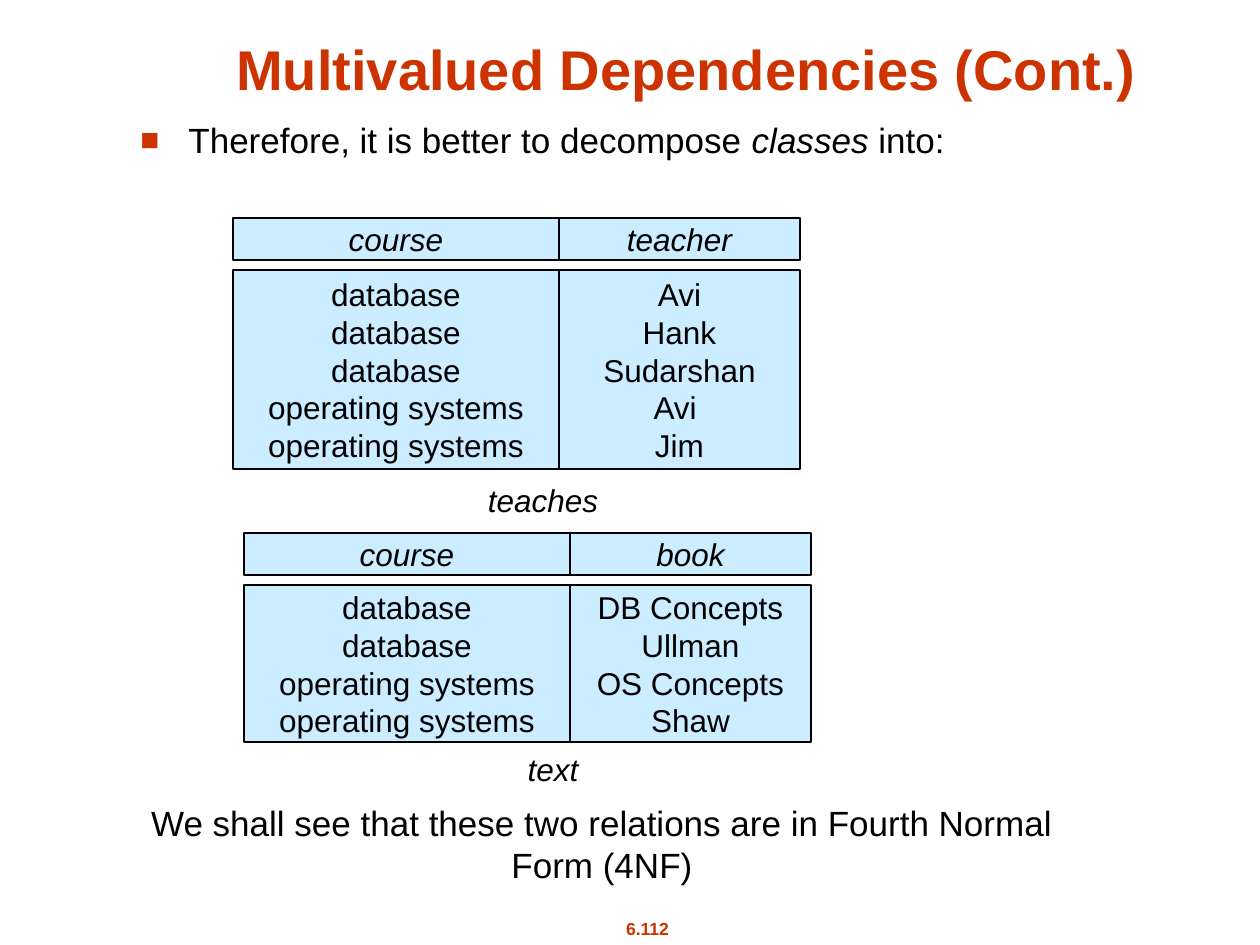
from dataclasses import dataclass

from lxml import etree
from pptx import Presentation
from pptx import util as u
from pptx.dml.color import RGBColor
from pptx.enum import shapes, text
from pptx.oxml import ns

PX = 914400 / 126


@dataclass(frozen=True)
class Theme:
    font: str = "Arial"
    accent: RGBColor = RGBColor(0xCC, 0x33, 0x00)
    ink: RGBColor = RGBColor(0, 0, 0)
    cell: RGBColor = RGBColor(0xCC, 0xEC, 0xFF)
    title: int = 32
    body: int = 20
    label: int = 18
    footer: int = 10


THEME = Theme()


def px(*lengths):
    return [u.Emu(round(length * PX)) for length in lengths]


def write(box, content, size=THEME.label, color=THEME.ink, bold=False, italic=False,
          align=text.PP_ALIGN.CENTER, anchor=text.MSO_ANCHOR.MIDDLE, wrap=False):
    """Write one paragraph per line; asterisks switch italics on and off."""
    frame = box.text_frame
    frame.word_wrap = wrap
    frame.vertical_anchor = anchor
    for index, line in enumerate(content.split("\n")):
        para = frame.paragraphs[0] if index == 0 else frame.add_paragraph()
        para.alignment = align
        for part, words in enumerate(line.split("*")):
            span = para.add_run()
            span.text = words
            span.font.name = THEME.font
            span.font.size = u.Pt(size)
            span.font.color.rgb = color
            span.font.bold = bold
            span.font.italic = italic or part % 2 == 1


deck = Presentation()
deck.slide_width, deck.slide_height = px(1260, 945)
page = deck.slides.add_slide(deck.slide_layouts[6])

# Page number, title and closing sentence
footer = page.shapes.add_textbox(*px(586, 912, 123, 34))
write(footer, "6.112", size=THEME.footer, color=THEME.accent, bold=True,
      anchor=text.MSO_ANCHOR.TOP)
title = page.shapes.add_textbox(*px(196, 21, 981, 87))
write(title, "Multivalued Dependencies (Cont.)", size=THEME.title, color=THEME.accent,
      bold=True, anchor=text.MSO_ANCHOR.BOTTOM, wrap=True)
closing = page.shapes.add_textbox(*px(136, 795, 932, 73))
write(closing, "We shall see that these two relations are in Fourth Normal Form (4NF)",
      size=THEME.body, anchor=text.MSO_ANCHOR.TOP, wrap=True)

# Bulleted statement
statement = page.shapes.add_textbox(*px(128, 112, 926, 73))
write(statement, "Therefore, it is better to decompose *classes *into:", size=THEME.body,
      align=text.PP_ALIGN.LEFT, anchor=text.MSO_ANCHOR.TOP, wrap=True)
indent = px(48)[0]
bullet = statement.text_frame.paragraphs[0]._p.get_or_add_pPr()
bullet.set("marL", str(indent))
bullet.set("indent", str(-indent))
bullet_color = etree.SubElement(bullet, ns.qn("a:buClr"))
etree.SubElement(bullet_color, ns.qn("a:srgbClr"), val=str(THEME.accent))
etree.SubElement(bullet, ns.qn("a:buSzPct"), val="90000")
etree.SubElement(bullet, ns.qn("a:buFont"), typeface=THEME.font)
etree.SubElement(bullet, ns.qn("a:buChar"), char="■")

# Relations: a header row above a gap, then one tall cell for each column
COLUMN_WIDTHS = (326, 241)
HEADER_HEIGHT, HEADER_PITCH = 42, 52
relations = [
    (233, 218, 199, [
        ("course", "database\ndatabase\ndatabase\noperating systems\noperating systems"),
        ("teacher", "Avi\nHank\nSudarshan\nAvi \nJim"),
    ]),
    (244, 533, 157, [
        ("course", "database\ndatabase\noperating systems\noperating systems"),
        ("book", "DB Concepts\nUllman\nOS Concepts\nShaw"),
    ]),
]
for left, top, body_height, columns in relations:
    for width, (heading, values) in zip(COLUMN_WIDTHS, columns):
        for content, cell_top, height, italic in (
            (heading, top, HEADER_HEIGHT, True),
            (values, top + HEADER_PITCH, body_height, False),
        ):
            cell = page.shapes.add_shape(shapes.MSO_SHAPE.RECTANGLE,
                                         *px(left, cell_top, width, height))
            cell.shadow.inherit = False
            cell.fill.solid()
            cell.fill.fore_color.rgb = THEME.cell
            cell.line.color.rgb = THEME.ink
            cell.line.width = u.Pt(0.75)
            write(cell, content, italic=italic)
        left += width

# Relation names
for name, left, top, width in (("teaches", 471, 475, 144), ("text", 513, 744, 80)):
    caption = page.shapes.add_textbox(*px(left, top, width, 50))
    write(caption, name, italic=True)

deck.save("out.pptx")
